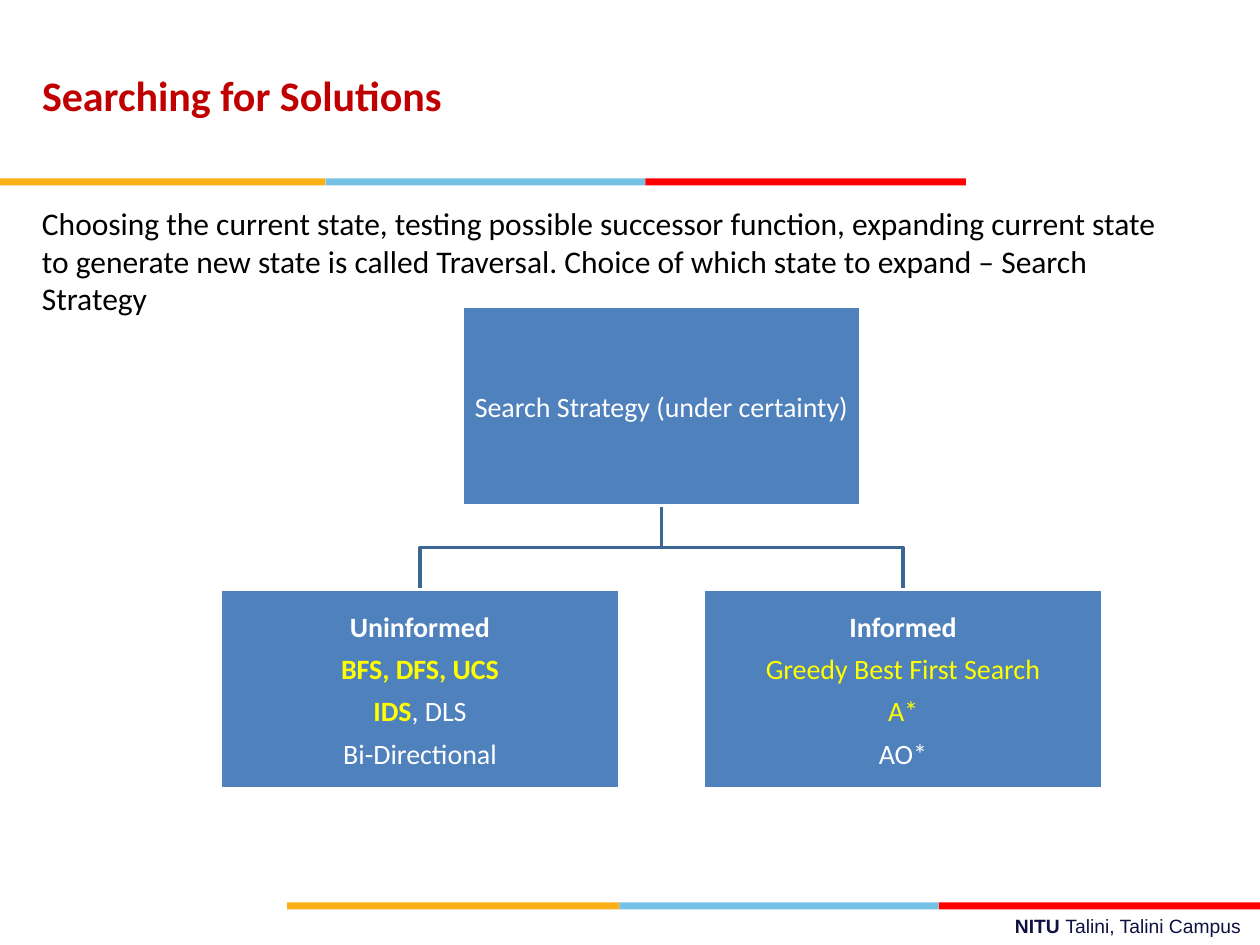
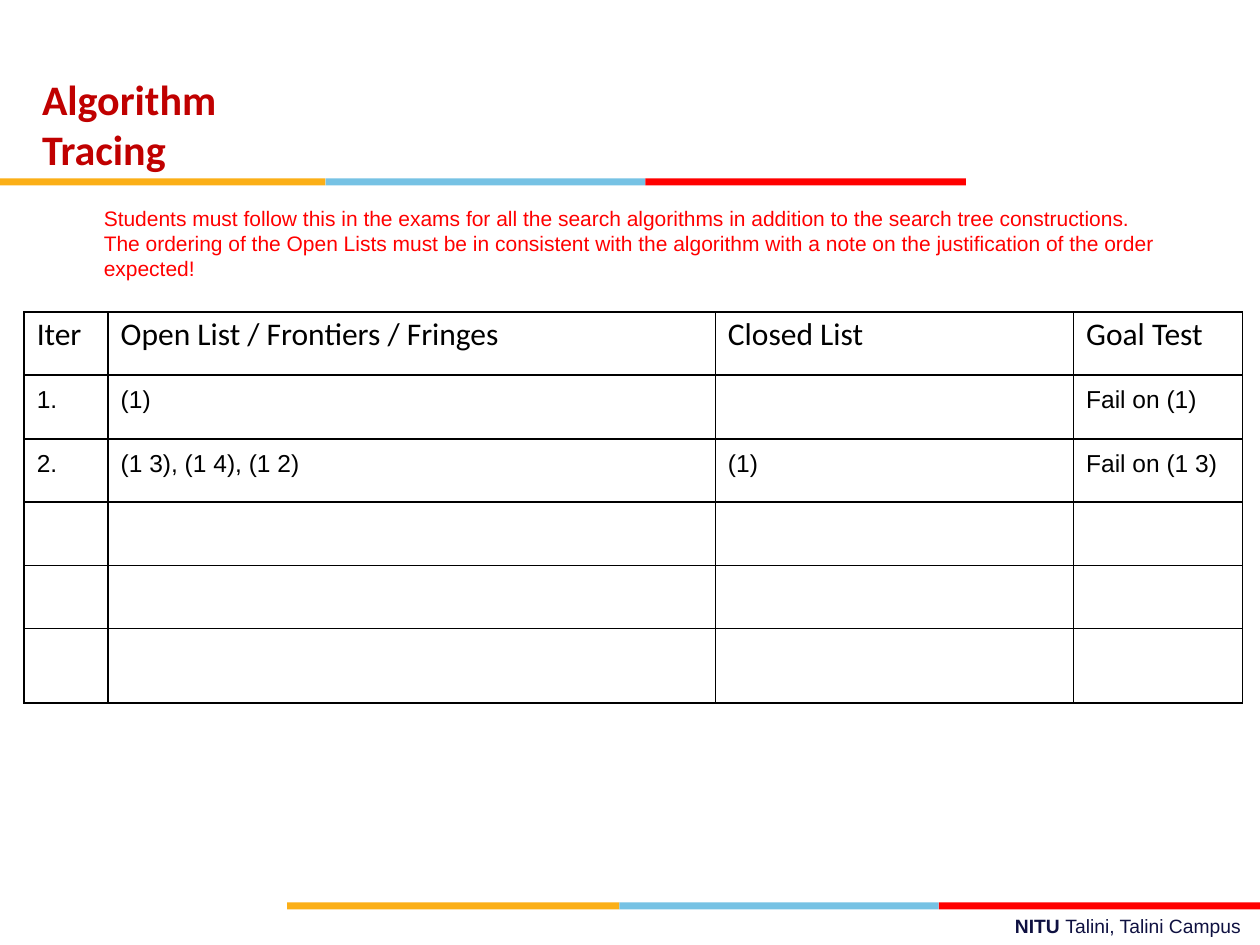
"""Builds two lecture slides: a search strategy tree and an algorithm tracing table."""
import pptx
import pptx.dml.color
import pptx.enum.shapes
import pptx.enum.text
import pptx.oxml
import pptx.oxml.ns
import pptx.util

Pt = pptx.util.Pt
ANCHOR = pptx.enum.text.MSO_ANCHOR
ALIGN = pptx.enum.text.PP_ALIGN
NAMESPACE = pptx.oxml.ns.nsdecls("a")

BLACK, WHITE, YELLOW, RED = "000000", "FFFFFF", "FFFF00", "FF0000"
TITLE_RED, NAVY, BOX_BLUE, TREE_BLUE = "C00000", "0F1141", "4F81BC", "3C6695"
BAND_COLOURS = ["FBAF17", "76C2E4", RED]
HEADER_BAND = (102, [0, 186, 368.8, 552])
FOOTER_BAND = (515.7, [164, 354, 536.5, 720])
BAND_HEIGHT = 4
FOOTER = [[("NITU ", NAVY, True), ("Talini, Talini Campus", NAVY, False)]]

INTRO = [[("Choosing the current state, testing possible successor function, "
           "expanding current state to generate new state is called Traversal. "
           "Choice of which state to expand – Search Strategy", BLACK, False)]]
ROOT = [[("Search Strategy (under certainty)", WHITE, False)]]
BRANCHES = [
    [[("Uninformed", WHITE, True)],
     [("BFS, DFS, UCS", YELLOW, True)],
     [("IDS", YELLOW, True), (", DLS", WHITE, False)],
     [("Bi-Directional", WHITE, False)]],
    [[("Informed", WHITE, True)],
     [("Greedy Best First Search", YELLOW, False)],
     [("A*", YELLOW, False)],
     [("AO*", WHITE, False)]],
]
BOX_WIDTH, BOX_HEIGHT = 228, 113.8
TREE_CENTRE, BRANCH_OFFSET = 378, 138
ROOT_TOP, BRANCH_TOP = 175, 337

EXAM_NOTE = [
    [("Students must follow this in the exams for all the search algorithms "
      "in addition to the search tree constructions.", RED, False)],
    [("The ordering of the Open Lists must be in consistent with the algorithm "
      "with a note on the justification of the order expected!", RED, False)],
]
TRACE = [
    ["Iter", "Open List / Frontiers / Fringes", "Closed List", "Goal Test"],
    ["1.", "(1)", "", "Fail on (1)"],
    ["2.", "(1 3), (1 4), (1 2)", "(1)", "Fail on (1 3)"],
    [""] * 4,
    [""] * 4,
    [""] * 4,
]
COLUMN_WIDTHS = [48, 347, 204.7, 96.6]
ROW_HEIGHTS = [36, 36.7, 36, 36.3, 36, 42.5]


def colour(code):
    return pptx.dml.color.RGBColor.from_string(code)


def fill_text(frame, lines, size, font, align=ALIGN.LEFT, gap=0):
    frame.word_wrap = True
    frame.margin_left = frame.margin_right = frame.margin_top = frame.margin_bottom = 0
    for index, line in enumerate(lines):
        para = frame.add_paragraph() if index else frame.paragraphs[0]
        para.alignment = align
        para.space_before = Pt(gap if index else 0)
        _, first_code, first_bold = line[0]
        para.font.size, para.font.name = Pt(size), font
        para.font.color.rgb, para.font.bold = colour(first_code), first_bold
        for text, code, bold in line:
            span = para.add_run()
            span.text = text
            if (code, bold) != (first_code, first_bold):
                span.font.color.rgb, span.font.bold = colour(code), bold


def add_text(page, left, top, width, height, lines, size, font):
    box = page.shapes.add_textbox(Pt(left), Pt(top), Pt(width), Pt(height))
    fill_text(box.text_frame, lines, size, font)


def add_rectangle(page, left, top, width, height, code):
    box = page.shapes.add_shape(pptx.enum.shapes.MSO_SHAPE.RECTANGLE,
                                Pt(left), Pt(top), Pt(width), Pt(height))
    box.shadow.inherit = False
    box.fill.solid()
    box.fill.fore_color.rgb = colour(code)
    box.line.fill.background()
    return box


def add_page(deck, title_lines, title_top, title_width):
    page = deck.slides.add_slide(deck.slide_layouts[6])
    for top, edges in (HEADER_BAND, FOOTER_BAND):
        for left, right, code in zip(edges, edges[1:], BAND_COLOURS):
            add_rectangle(page, left, top, right - left, BAND_HEIGHT, code)
    title = [[(line, TITLE_RED, True)] for line in title_lines]
    add_text(page, 24, title_top, title_width, 31, title, 24, "Calibri")
    add_text(page, 580, 522.7, 138, 14, FOOTER, 11, "Arial")
    return page


def style_line(shape, code):
    shape.line.color.rgb = colour(code)
    shape.line.width = Pt(1.92)


def add_tree_box(page, centre, top, lines):
    box = add_rectangle(page, centre - BOX_WIDTH / 2, top, BOX_WIDTH, BOX_HEIGHT, BOX_BLUE)
    style_line(box, WHITE)
    fill_text(box.text_frame, lines, 16, "Calibri", ALIGN.CENTER, gap=5)
    box.text_frame.vertical_anchor = ANCHOR.MIDDLE


def add_tree(page):
    root_bottom = ROOT_TOP + BOX_HEIGHT
    fork = (root_bottom + BRANCH_TOP) / 2
    centres = [TREE_CENTRE - BRANCH_OFFSET, TREE_CENTRE + BRANCH_OFFSET]
    trunk = page.shapes.add_connector(pptx.enum.shapes.MSO_CONNECTOR.STRAIGHT,
                                      Pt(TREE_CENTRE), Pt(root_bottom),
                                      Pt(TREE_CENTRE), Pt(fork))
    style_line(trunk, TREE_BLUE)
    trunk._element.spPr.append(pptx.oxml.parse_xml(f"<a:effectLst {NAMESPACE}/>"))
    left, right = centres
    builder = page.shapes.build_freeform(Pt(left), Pt(BRANCH_TOP))
    builder.add_line_segments([(Pt(left), Pt(fork)), (Pt(right), Pt(fork)),
                               (Pt(right), Pt(BRANCH_TOP))], close=False)
    bracket = builder.convert_to_shape()
    bracket.shadow.inherit = False
    bracket.fill.background()
    style_line(bracket, TREE_BLUE)
    add_tree_box(page, TREE_CENTRE, ROOT_TOP, ROOT)
    for centre, lines in zip(centres, BRANCHES):
        add_tree_box(page, centre, BRANCH_TOP, lines)


def add_borders(cell):
    properties = cell._tc.get_or_add_tcPr()
    for side in ("lnL", "lnR", "lnT", "lnB"):
        properties.append(pptx.oxml.parse_xml(
            f'<a:{side} {NAMESPACE} w="12700"><a:solidFill>'
            f'<a:srgbClr val="{BLACK}"/></a:solidFill></a:{side}>'))


def add_trace_table(page):
    table = page.shapes.add_table(len(TRACE), len(COLUMN_WIDTHS), Pt(13.8), Pt(178.2),
                                  Pt(sum(COLUMN_WIDTHS)), Pt(sum(ROW_HEIGHTS))).table
    table.first_row = table.horz_banding = False
    for column, width in zip(table.columns, COLUMN_WIDTHS):
        column.width = Pt(width)
    for index, (row, height, texts) in enumerate(zip(table.rows, ROW_HEIGHTS, TRACE)):
        row.height = Pt(height)
        size, font, inset = (14, "Arial", 6.5) if index else (18, "Calibri", 2.2)
        for cell, text in zip(row.cells, texts):
            add_borders(cell)
            cell.fill.background()
            cell.margin_left, cell.margin_top = Pt(7.2), Pt(inset)
            cell.margin_right = cell.margin_bottom = 0
            para = cell.text_frame.paragraphs[0]
            para.font.size, para.font.name, para.font.bold = Pt(size), font, False
            para.font.color.rgb = colour(BLACK)
            if text:
                para.add_run().text = text


def main():
    deck = pptx.Presentation()
    deck.slide_width, deck.slide_height = Pt(720), Pt(540)

    strategy = add_page(deck, ["Searching for Solutions"], 40, 311)
    add_text(strategy, 24, 116.5, 643, 67, INTRO, 18, "Calibri")
    add_tree(strategy)

    tracing = add_page(deck, ["Algorithm", "Tracing"], 42, 156)
    add_trace_table(tracing)
    add_text(tracing, 59.3, 117.5, 611, 45, EXAM_NOTE, 12, "Arial")

    deck.save("out.pptx")


if __name__ == "__main__":
    main()
